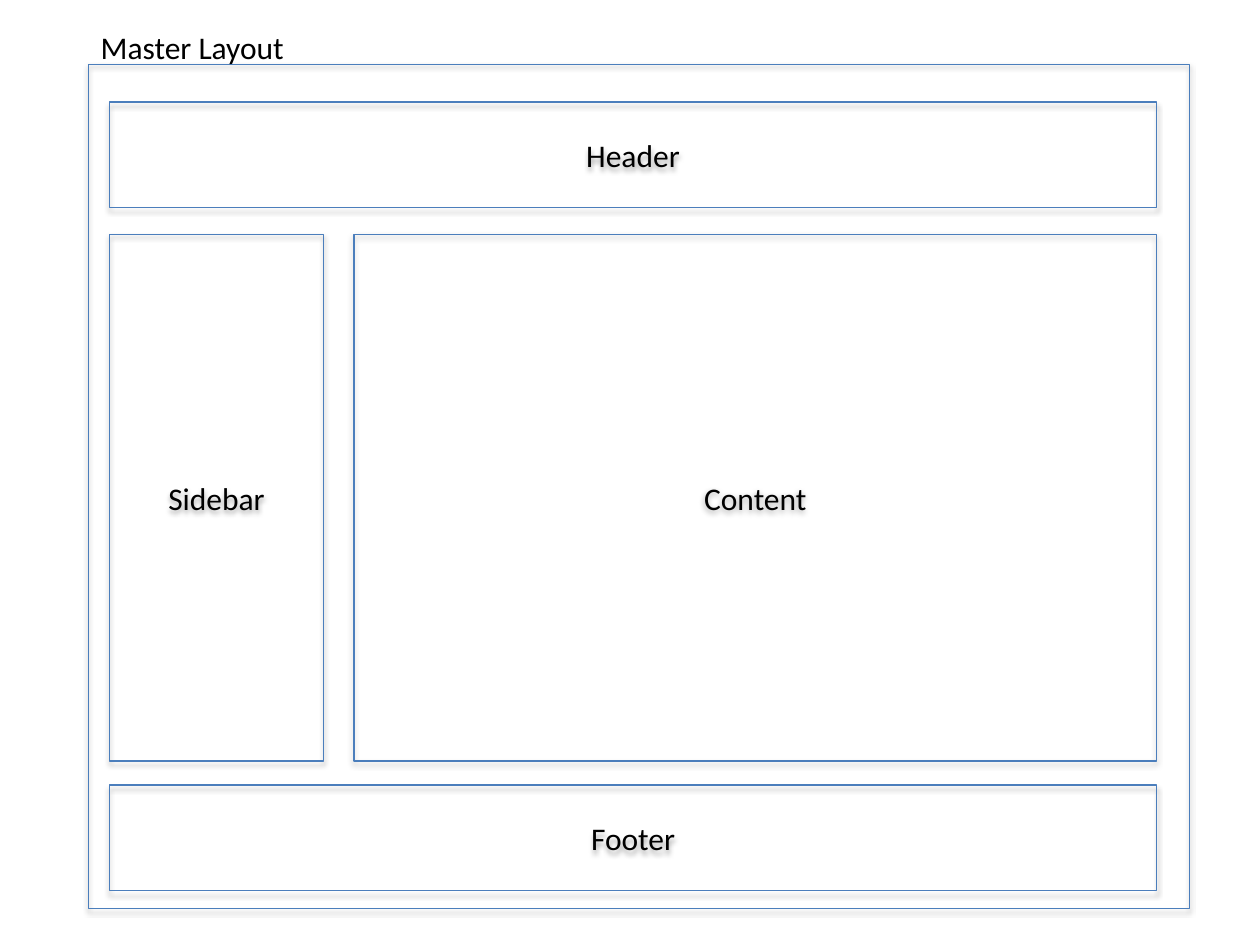
from dataclasses import dataclass

from lxml import etree
from pptx import Presentation
from pptx.dml.color import RGBColor
from pptx.enum import shapes, text
from pptx.oxml import ns
from pptx.util import Pt

BLACK = RGBColor(0x00, 0x00, 0x00)
BLUE = RGBColor(0x4B, 0x7E, 0xBC)

LEFT, RIGHT = 62.6, 660.9
SIDEBAR_WIDTH = 122.4
CONTENT_LEFT = 202.3
BAND_HEIGHT = 60.5
BODY_TOP, BODY_HEIGHT = 133.9, 301


@dataclass
class Region:
    label: str
    left: float
    top: float
    width: float
    height: float


FRAME = Region("", 50.4, 36.7, 629.3, 482.4)
REGIONS = [
    Region("Sidebar", LEFT, BODY_TOP, SIDEBAR_WIDTH, BODY_HEIGHT),
    Region("Content", CONTENT_LEFT, BODY_TOP, RIGHT - CONTENT_LEFT, BODY_HEIGHT),
    Region("Footer", LEFT, 448.6, RIGHT - LEFT, BAND_HEIGHT),
    Region("Header", LEFT, 58.3, RIGHT - LEFT, BAND_HEIGHT),
]


def write_label(shape, label: str, alignment) -> None:
    paragraph = shape.text_frame.paragraphs[0]
    paragraph.text = label
    paragraph.alignment = alignment
    for run in paragraph.runs:
        run.font.name = "Calibri"
        run.font.size = Pt(18)
        run.font.color.rgb = BLACK


def add_shadow(shape) -> None:
    shape.shadow.inherit = False
    effects = shape._element.spPr.find(ns.qn("a:effectLst"))
    shadow = etree.SubElement(
        effects, ns.qn("a:outerShdw"), blurRad=str(Pt(3.1)),
        dist=str(Pt(1.8)), dir="5400000", rotWithShape="0")
    color = etree.SubElement(shadow, ns.qn("a:srgbClr"), val=str(BLACK))
    etree.SubElement(color, ns.qn("a:alpha"), val="35000")


def add_region(slide, region: Region) -> None:
    shape = slide.shapes.add_shape(
        shapes.MSO_SHAPE.RECTANGLE, Pt(region.left), Pt(region.top),
        Pt(region.width), Pt(region.height))
    shape.fill.background()
    shape.line.color.rgb = BLUE
    shape.line.width = Pt(0.75)
    add_shadow(shape)
    if region.label:
        shape.text_frame.vertical_anchor = text.MSO_ANCHOR.MIDDLE
        write_label(shape, region.label, text.PP_ALIGN.CENTER)


def add_title(slide, label: str) -> None:
    title = slide.shapes.add_textbox(Pt(FRAME.left), Pt(12.2), Pt(242), Pt(29))
    title.text_frame.word_wrap = True
    title.text_frame.auto_size = text.MSO_AUTO_SIZE.SHAPE_TO_FIT_TEXT
    write_label(title, label, text.PP_ALIGN.LEFT)


def main() -> None:
    presentation = Presentation()
    presentation.slide_width = Pt(720)
    presentation.slide_height = Pt(540)
    slide = presentation.slides.add_slide(presentation.slide_layouts[6])
    add_region(slide, FRAME)
    add_title(slide, "Master Layout")
    for region in REGIONS:
        add_region(slide, region)
    presentation.save("out.pptx")


main()
